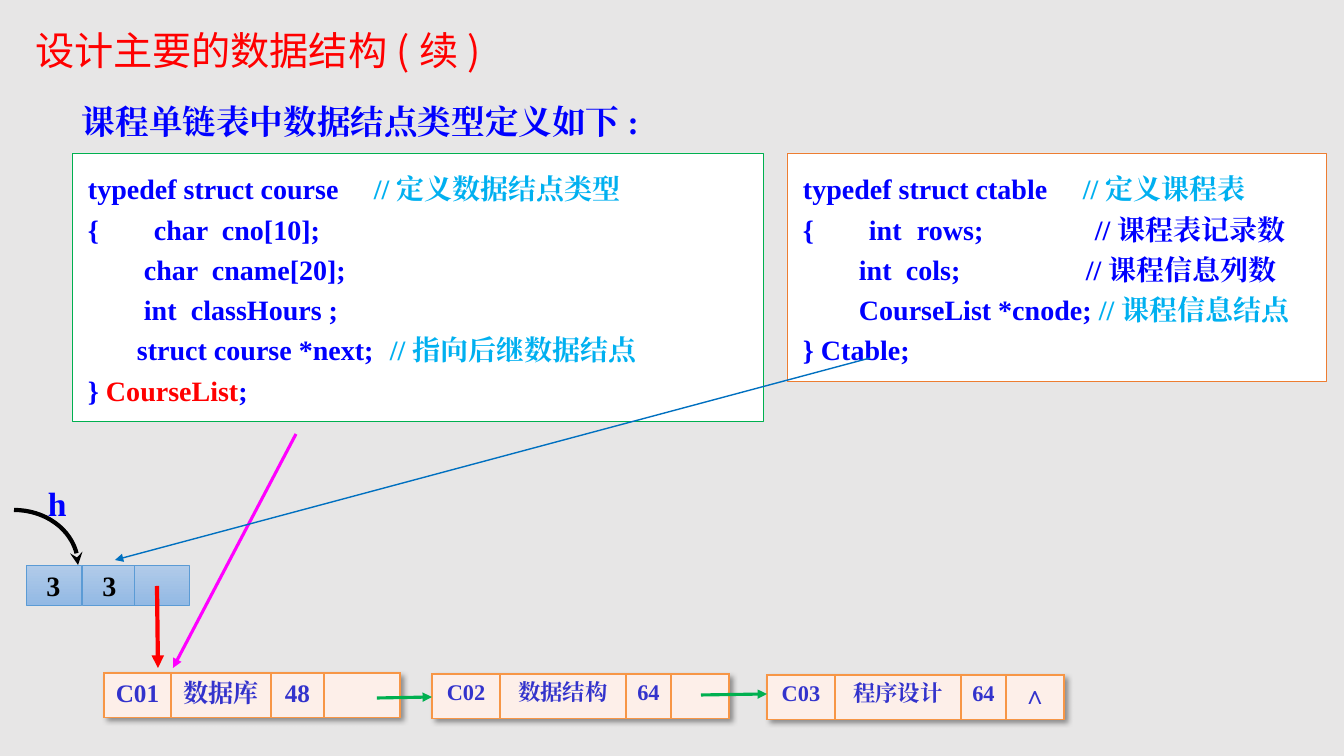
import math
import lxml.etree
import pptx
import pptx.dml.color
import pptx.enum.shapes
import pptx.enum.text
import pptx.oxml
import pptx.oxml.ns
import pptx.util

RGB = pptx.dml.color.RGBColor
SHAPE = pptx.enum.shapes.MSO_SHAPE
ALIGN = pptx.enum.text.PP_ALIGN
ANCHOR = pptx.enum.text.MSO_ANCHOR
qn = pptx.oxml.ns.qn
SERIF, SANS = "Times New Roman", "Noto Sans CJK SC"
BLUE, CYAN, RED = RGB(0, 0, 255), RGB(0, 0xB0, 0xF0), RGB(255, 0, 0)
GREEN, ORANGE, MAGENTA = RGB(0, 0xB0, 0x50), RGB(0xED, 0x7D, 0x31), RGB(255, 0, 255)
BLACK, WHITE, GRAY = RGB(0, 0, 0), RGB(255, 255, 255), RGB(0xE7, 0xE6, 0xE6)
POINTER_BLUE, INDIGO = RGB(0, 0x70, 0xC0), RGB(0x33, 0x33, 0xCC)
HEAD_TOP, HEAD_BOTTOM = RGB(0xB1, 0xCB, 0xE9), RGB(0x93, 0xB9, 0xE4)
HEAD_LINE, NODE_FILL = RGB(0x5B, 0x9B, 0xD5), RGB(0xFD, 0xEF, 0xE9)
NODE_LINE = "F79646"
A = "http://schemas.openxmlformats.org/drawingml/2006/main"
PX = 12192000 / 1344


def emu(*pixels):
    return [round(value * PX) for value in pixels]


def write(frame, text, size=20, color=BLUE, font=SERIF, bold=True, align=ALIGN.LEFT,
          anchor=ANCHOR.TOP, insets=(10, 5), wrap=True, spacing=None, tabs=()):
    frame.word_wrap = wrap
    frame.vertical_anchor = anchor
    frame.margin_left = frame.margin_right = emu(insets[0])[0]
    frame.margin_top = frame.margin_bottom = emu(insets[1])[0]
    lines = [[(text, color)]] if isinstance(text, str) else text
    for number, runs in enumerate(lines):
        paragraph = frame.add_paragraph() if number else frame.paragraphs[0]
        paragraph.alignment = align
        if spacing:
            paragraph.line_spacing = pptx.util.Pt(spacing)
        if tabs and tabs[number]:
            stops = lxml.etree.SubElement(paragraph._p.get_or_add_pPr(), qn("a:tabLst"))
            for stop in tabs[number]:
                lxml.etree.SubElement(stops, qn("a:tab"), pos=str(emu(stop)[0]), algn="l")
        for words, ink in runs:
            run = paragraph.add_run()
            run.text = words
            run.font.size = pptx.util.Pt(size)
            run.font.bold = bold
            run.font.name = font
            run.font.color.rgb = ink
            lxml.etree.SubElement(run._r.get_or_add_rPr(), qn("a:ea"), typeface=font)


deck = pptx.Presentation()
deck.slide_width, deck.slide_height = emu(1344, 756)
slide = deck.slides.add_slide(deck.slide_layouts[5])
slide.background.fill.solid()
slide.background.fill.fore_color.rgb = GRAY
shapes = slide.shapes

title = shapes.title
title.left, title.top, title.width, title.height = emu(25, 21, 608, 57)
write(title.text_frame, "设计主要的数据结构(续)", size=28, color=RED, font=SANS, bold=False)
title.text_frame.auto_size = pptx.enum.text.MSO_AUTO_SIZE.NONE

intro = shapes.add_textbox(*emu(72, 96, 646, 51))
write(intro.text_frame, "课程单链表中数据结点类型定义如下:", size=24)

course_code = [
    [("typedef struct course\t", BLUE), ("//定义数据结点类型", CYAN)],
    [("{\tchar\tcno[10];", BLUE)],
    [("\tchar\tcname[20];", BLUE)],
    [("\tint\tclassHours ;", BLUE)],
    [("\tstruct course *next;\t", BLUE), ("//指向后继数据结点", CYAN)],
    [("} ", BLUE), ("CourseList", RED), (";", BLUE)],
]
course_tabs = [(286,), (66, 134), (56, 124), (56, 103), (49, 302), ()]
ctable_code = [
    [("typedef struct ctable\t", BLUE), ("//定义课程表", CYAN)],
    [("{\tint\trows;\t//课程表记录数", BLUE)],
    [("\tint\tcols;\t//课程信息列数", BLUE)],
    [("\tCourseList *cnode; ", BLUE), ("//课程信息结点", CYAN)],
    [("} Ctable;", BLUE)],
]
ctable_tabs = [(280,), (66, 114, 292), (56, 103, 283), (56,), ()]
for place, border, code, tabs in [
    ((72, 153, 691, 268), GREEN, course_code, course_tabs),
    ((787, 153, 539, 228), ORANGE, ctable_code, ctable_tabs),
]:
    definition = shapes.add_shape(SHAPE.RECTANGLE, *emu(*place))
    definition.shadow.inherit = False
    definition.fill.solid()
    definition.fill.fore_color.rgb = WHITE
    definition.line.color.rgb = border
    definition.line.width = pptx.util.Pt(0.5)
    write(definition.text_frame, code, insets=(16, 12), spacing=28.8, tabs=tabs)

for left, count in [(26, "3"), (82, "3"), (134, "")]:
    field = shapes.add_shape(SHAPE.RECTANGLE, *emu(left, 565, 55, 40))
    field.shadow.inherit = False
    field.fill.gradient()
    field.fill.gradient_angle = 270
    for stop, shade in zip(field.fill.gradient_stops, (HEAD_TOP, HEAD_BOTTOM)):
        stop.color.rgb = shade
    field.line.color.rgb = HEAD_LINE
    field.line.width = pptx.util.Pt(0.5)
    if count:
        write(field.text_frame, count, color=BLACK, align=ALIGN.CENTER,
              anchor=ANCHOR.MIDDLE, wrap=False)

turns = [math.radians(angle) for angle in range(0, 91, 5)]
curve = [emu(14 + 64 * math.sin(turn), 565 - 55 * math.cos(turn)) for turn in turns]
builder = shapes.build_freeform(*curve[0], scale=1.0)
builder.add_line_segments(curve[1:], close=False)
head_pointer = builder.convert_to_shape()
head_pointer.shadow.inherit = False
head_pointer.fill.background()
head_pointer.line.color.rgb = BLACK
head_pointer.line.width = pptx.util.Pt(3)
lxml.etree.SubElement(head_pointer.line._get_or_add_ln(), qn("a:tailEnd"), type="stealth")

head_name = shapes.add_textbox(*emu(38, 478, 77, 50))
write(head_name.text_frame, "h", size=24)

for left, top, widths, size, values in [
    (104, 673, (67, 100, 53, 76), 18, ("C01", "数据库", "48", "")),
    (432, 674, (68, 126, 45, 58), 16, ("C02", "数据结构", "64", "")),
    (767, 675, (68, 126, 45, 58), 16, ("C03", "程序设计", "64", "∧")),
]:
    node = shapes.add_table(1, 4, *emu(left, top, sum(widths), 43)).table
    node.first_row = node.horz_banding = False
    node._tbl.tblPr.insert(0, pptx.oxml.parse_xml(
        f'<a:effectLst xmlns:a="{A}"><a:outerShdw blurRad="50800" dist="38100" dir="2700000" '
        'algn="tl" rotWithShape="0"><a:srgbClr val="000000"><a:alpha val="40000"/></a:srgbClr>'
        '</a:outerShdw></a:effectLst>'))
    for column, width, cell, value in zip(node.columns, widths, node.rows[0].cells, values):
        column.width = emu(width)[0]
        for side in ("lnL", "lnR", "lnT", "lnB"):
            cell._tc.get_or_add_tcPr().append(pptx.oxml.parse_xml(
                f'<a:{side} xmlns:a="{A}" w="12700"><a:solidFill><a:srgbClr val="{NODE_LINE}"/>'
                f'</a:solidFill></a:{side}>'))
        cell.fill.solid()
        cell.fill.fore_color.rgb = NODE_FILL
        if value:
            write(cell.text_frame, value, size=18 if value == "∧" else size,
                  color=INDIGO, align=ALIGN.CENTER)
        cell.margin_left = cell.margin_right = emu(10)[0]
        cell.margin_top = cell.margin_bottom = emu(7)[0]

for ends, ink, weight in [
    ((157, 586, 158, 668), RED, 3),
    ((296, 434, 173, 668), MAGENTA, 2.25),
    ((870, 358, 115, 560), POINTER_BLUE, 1),
    ((377, 698, 432, 697), GREEN, 2.25),
    ((701, 695, 767, 694), GREEN, 2.25),
]:
    arrow = shapes.add_connector(pptx.enum.shapes.MSO_CONNECTOR.STRAIGHT, *emu(*ends))
    arrow.line.color.rgb = ink
    arrow.line.width = pptx.util.Pt(weight)
    lxml.etree.SubElement(arrow.line._get_or_add_ln(), qn("a:tailEnd"), type="triangle")
    lxml.etree.SubElement(arrow._element.spPr, qn("a:effectLst"))

deck.save("out.pptx")
